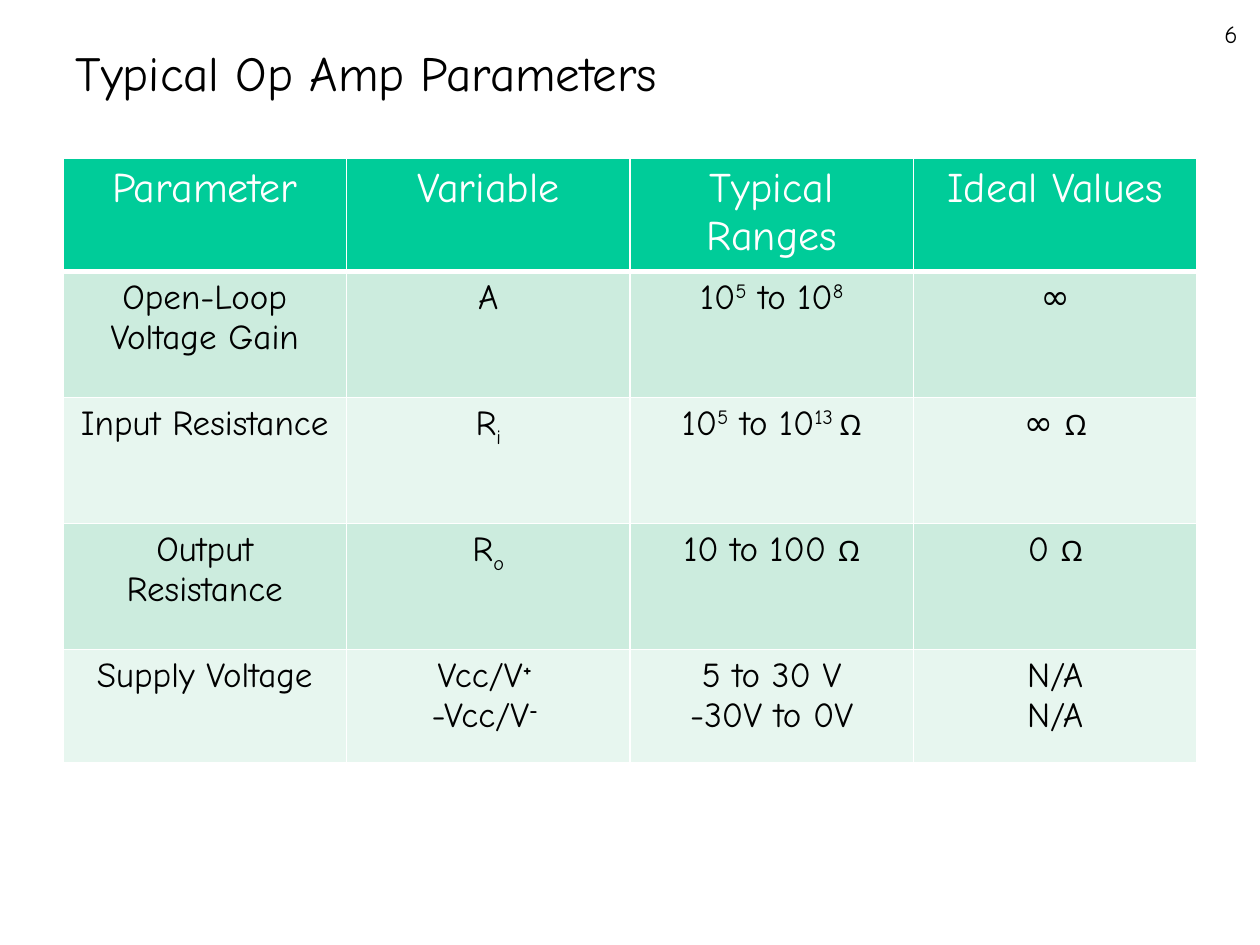
from lxml.etree import SubElement
from pptx import Presentation
from pptx.dml.color import RGBColor
from pptx.enum.text import MSO_ANCHOR, PP_ALIGN
from pptx.oxml.ns import qn
from pptx.util import Pt

# Content: a cell is a list of lines, a line is a list of (text, style) runs
TITLE = "Typical Op Amp Parameters"
PAGE_NUMBER = "6"
HEADINGS = ["Parameter", "Variable", "Typical Ranges", "Ideal Values"]
OHM = ("Ω", "unit")


def plain(*lines):
    return [[(line, "body")] for line in lines]


PARAMETERS = [
    [plain("Open-Loop Voltage Gain"),
     plain("A"),
     [[("10", "body"), ("5", "super"), (" to 10", "body"), ("8", "super")]],
     plain("∞")],
    [plain("Input Resistance"),
     [[("R", "body"), ("i", "sub")]],
     [[("10", "body"), ("5", "super"), (" to 10", "body"), ("13 ", "super"), OHM]],
     [[("∞ ", "body"), OHM]]],
    [plain("Output Resistance"),
     [[("R", "body"), ("o", "sub")]],
     [[("10 to 100 ", "body"), OHM]],
     [[("0 ", "body"), OHM]]],
    [plain("Supply Voltage"),
     [[("Vcc/V", "body"), ("+ ", "sign")], [("-Vcc/V", "body"), ("- ", "sign")]],
     plain("5 to 30 V", "-30V to 0V"),
     plain("N/A", "N/A")],
]

# Style: size in points, baseline shift in percent, bold, colour
FONT = "Comic Neue"
COLORS = {"text": "000000", "white": "FFFFFF", "header": "00CC99",
          "odd": "CCECDE", "even": "E7F6EF"}
STYLES = {
    "title": (28, 0, False, "text"),
    "page": (14, 0, False, "text"),
    "heading": (24, 0, False, "white"),
    "body": (20, 0, False, "text"),
    "unit": (16, 0, False, "text"),
    "super": (20, 30, False, "text"),
    "sub": (20, -25, False, "text"),
    "sign": (20, 30, True, "text"),
}

# Layout in px
SLIDE = (1260, 945)
TITLE_BOX = (63, 38, 1081, 67)
PAGE_BOX = (1134, 13, 116, 43)
TABLE_BOX = (63, 158, 1134, 604)
ROW_HEIGHTS = [113, 126, 126, 126, 113]


def px(length):
    return round(length * 914400 / 126)


def color(name):
    return RGBColor.from_string(COLORS[name])


def format_run(run, style):
    size, shift, bold, ink = STYLES[style]
    run.font.name = FONT
    run.font.size = Pt(size)
    run.font.bold = bold
    run.font.color.rgb = color(ink)
    if shift:
        run.font._element.set("baseline", str(shift * 1000))


def add_borders(cell, bottom_width):
    widths = {"a:lnL": 1, "a:lnR": 1, "a:lnT": 1, "a:lnB": bottom_width}
    properties = cell._tc.get_or_add_tcPr()
    for position, (side, width) in enumerate(widths.items()):
        border = SubElement(properties, qn(side), w=str(Pt(width)))
        line_fill = SubElement(border, qn("a:solidFill"))
        SubElement(line_fill, qn("a:srgbClr"), val=COLORS["white"])
        properties.insert(position, border)


def fill_cell(cell, lines, background, bottom_width=1):
    cell.fill.solid()
    cell.fill.fore_color.rgb = color(background)
    add_borders(cell, bottom_width)
    for number, line in enumerate(lines):
        frame = cell.text_frame
        paragraph = frame.add_paragraph() if number else frame.paragraphs[0]
        paragraph.alignment = PP_ALIGN.CENTER
        for text, style in line:
            run = paragraph.add_run()
            run.text = text
            format_run(run, style)


def main():
    presentation = Presentation()
    presentation.slide_width, presentation.slide_height = map(px, SLIDE)
    slide = presentation.slides.add_slide(presentation.slide_layouts[5])

    # Title
    title = slide.shapes.title
    title.left, title.top, title.width, title.height = map(px, TITLE_BOX)
    title.text_frame.text = TITLE
    title.text_frame.vertical_anchor = MSO_ANCHOR.MIDDLE
    heading = title.text_frame.paragraphs[0]
    heading.alignment = PP_ALIGN.LEFT
    format_run(heading.runs[0], "title")

    # Page number
    page = slide.shapes.add_textbox(*map(px, PAGE_BOX)).text_frame
    page.word_wrap = True
    page.text = PAGE_NUMBER
    page.paragraphs[0].alignment = PP_ALIGN.RIGHT
    format_run(page.paragraphs[0].runs[0], "page")

    # Parameter table
    table = slide.shapes.add_table(
        len(ROW_HEIGHTS), len(HEADINGS), *map(px, TABLE_BOX)).table
    for column in table.columns:
        column.width = px(TABLE_BOX[2] / len(HEADINGS))
    for row, height in zip(table.rows, ROW_HEIGHTS):
        row.height = px(height)
    for column, text in enumerate(HEADINGS):
        fill_cell(table.cell(0, column), [[(text, "heading")]], "header", 3)
    for row, parameter in enumerate(PARAMETERS, start=1):
        for column, lines in enumerate(parameter):
            fill_cell(table.cell(row, column), lines, "odd" if row % 2 else "even")

    presentation.save("out.pptx")


if __name__ == "__main__":
    main()
